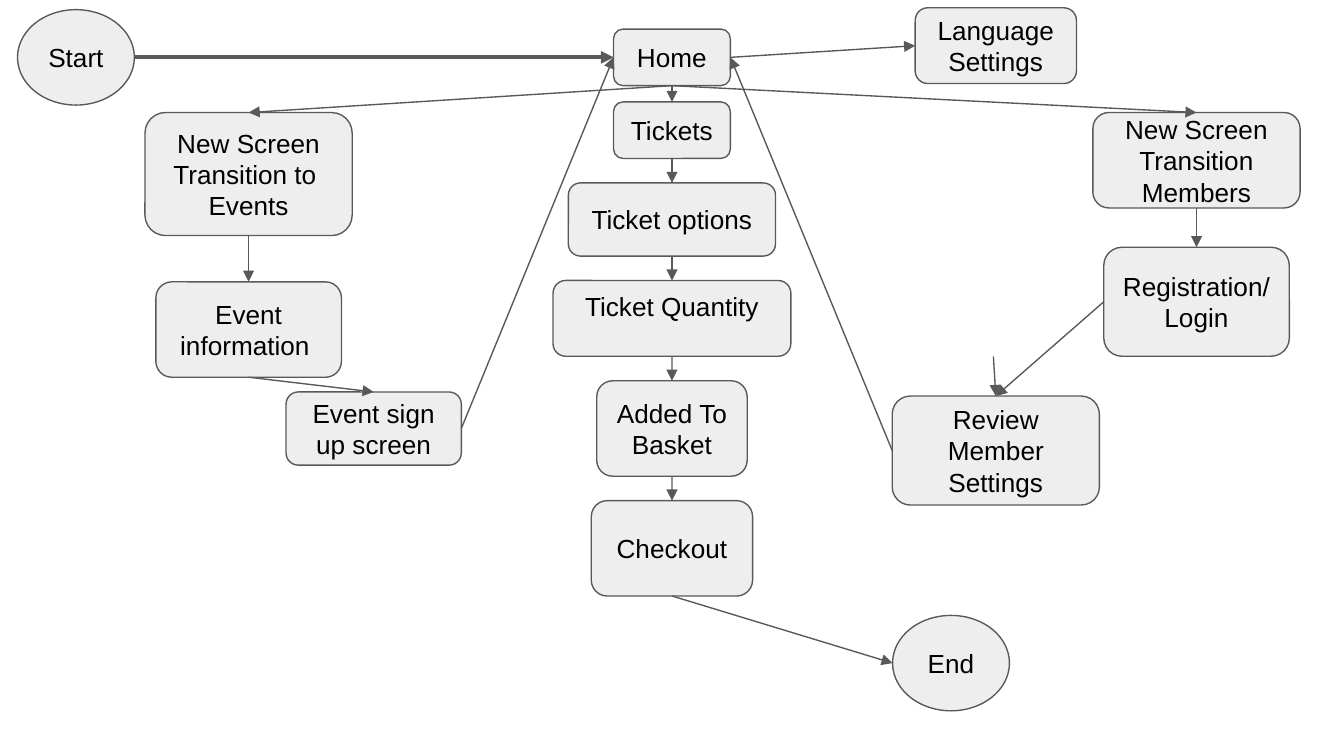
import pptx
import pptx.dml.color
import pptx.enum.shapes
import pptx.enum.text
import pptx.oxml
import pptx.oxml.ns
import pptx.util

Pt = pptx.util.Pt
RGBColor = pptx.dml.color.RGBColor
SHAPE = pptx.enum.shapes.MSO_SHAPE
ANCHOR = pptx.enum.text.MSO_ANCHOR

NODE_FILL = RGBColor(0xEE, 0xEE, 0xEE)
OUTLINE = RGBColor(0x59, 0x59, 0x59)
TEXT_COLOR = RGBColor(0, 0, 0)

TOP, LEFT, BOTTOM, RIGHT = range(4)
INSET = 7.2
TICKET_GAP = 13.1
MIDDLE_X, EVENTS_X, MEMBERS_X = 360, 133.2, 641

# key: text, centre x, top, width, height
SCREENS = {
    "home": ("Home", MIDDLE_X, 15.6, 62.6, 30.3),
    "language": ("Language Settings", 533.5, 4.2, 86.4, 40.6),
    "events": ("New Screen Transition to \nEvents", EVENTS_X, 60.3, 111, 65.9),
    "event info": ("Event information ", EVENTS_X, 151, 99.4, 51.1),
    "sign up": ("Event sign up screen", 200.2, 210, 93.9, 39.2),
    "members": ("New Screen Transition\nMembers", MEMBERS_X, 60.3, 111, 51.1),
    "registration": ("Registration/Login", MEMBERS_X, 132.5, 99.4, 58.4),
    "review": ("Review Member Settings", 533.5, 212.2, 111, 58.4),
}
TERMINALS = {
    "start": ("Start", 40.7, 5.2, 62.6, 51.1),
    "end": ("End", 509.5, 329.7, 62.6, 51.1),
}
# key, text, width, height, stacked from top to bottom
TICKET_STEPS = [
    ("tickets", "Tickets", 62.6, 30.3),
    ("options", "Ticket options", 111, 39.2),
    ("quantity", "Ticket Quantity", 127.4, 40.6),
    ("basket", "Added To Basket", 80.6, 51.1),
    ("checkout", "Checkout", 86.4, 51.1),
]
TICKETS_TOP = 54.6
FLOWS = [
    ("home", BOTTOM, "events", TOP),
    ("home", BOTTOM, "tickets", TOP),
    ("home", BOTTOM, "members", TOP),
    ("home", RIGHT, "language", LEFT),
    ("events", BOTTOM, "event info", TOP),
    ("event info", BOTTOM, "sign up", TOP),
    ("sign up", RIGHT, "home", LEFT),
    ("members", BOTTOM, "registration", TOP),
    ("registration", LEFT, "review", TOP),
    ("review", LEFT, "home", RIGHT),
    ("checkout", BOTTOM, "end", LEFT),
]


def write_text(frame, text, size=14, color=TEXT_COLOR, font="Arial",
               anchor=ANCHOR.MIDDLE, top_inset=INSET):
    frame.word_wrap = True
    frame.vertical_anchor = anchor
    frame.margin_left = frame.margin_right = frame.margin_bottom = Pt(INSET)
    frame.margin_top = Pt(top_inset)
    frame.text = text
    for paragraph in frame.paragraphs:
        paragraph.alignment = pptx.enum.text.PP_ALIGN.CENTER
        paragraph.font.size = Pt(size)
        paragraph.font.name = font
        paragraph.font.color.rgb = color


def add_node(slide, text, center_x, top, width, height,
             outline=SHAPE.ROUNDED_RECTANGLE, **text_format):
    node = slide.shapes.add_shape(outline, Pt(center_x - width / 2), Pt(top),
                                  Pt(width), Pt(height))
    node.shadow.inherit = False
    node.fill.solid()
    node.fill.fore_color.rgb = NODE_FILL
    node.line.color.rgb = OUTLINE
    node.line.width = Pt(0.75)
    write_text(node.text_frame, text, **text_format)
    return node


def side_point(node, side):
    """Return the middle of one side of a node."""
    across = {LEFT: 0, RIGHT: 2}.get(side, 1)
    down = {TOP: 0, BOTTOM: 2}.get(side, 1)
    return (node.left + node.width * across // 2,
            node.top + node.height * down // 2)


def add_arrow(slide, begin, end, weight=0.75):
    arrow = slide.shapes.add_connector(
        pptx.enum.shapes.MSO_CONNECTOR.STRAIGHT, *begin, *end)
    arrow.line.color.rgb = OUTLINE
    arrow.line.width = Pt(weight)
    qn = pptx.oxml.ns.qn
    head = arrow.line._get_or_add_ln().makeelement(
        qn("a:tailEnd"), {"type": "triangle", "w": "med", "len": "med"})
    arrow.line._get_or_add_ln().append(head)
    properties = arrow._element.spPr
    properties.append(properties.makeelement(qn("a:effectLst"), {}))
    return arrow


def link(slide, source, source_side, target, target_side, weight=0.75):
    """Draw an arrow between two nodes, glued to the rectangular ones."""
    arrow = add_arrow(slide, side_point(source, source_side),
                      side_point(target, target_side), weight)
    if source.auto_shape_type != SHAPE.OVAL:
        arrow.begin_connect(source, source_side)
    if target.auto_shape_type != SHAPE.OVAL:
        arrow.end_connect(target, target_side)


def add_ticket_steps(slide):
    steps = {}
    top = TICKETS_TOP
    for key, text, width, height in TICKET_STEPS:
        text_format = {}
        if key == "quantity":
            text_format = {"anchor": ANCHOR.TOP, "top_inset": 3.2}
        steps[key] = add_node(slide, text, MIDDLE_X, top, width, height,
                              **text_format)
        top += height + TICKET_GAP
    ordered = list(steps.values())
    for step, following in zip(ordered, ordered[1:]):
        link(slide, step, BOTTOM, following, TOP)
    return steps


def main():
    presentation = pptx.Presentation()
    presentation.slide_width = Pt(720)
    presentation.slide_height = Pt(405)
    slide = presentation.slides.add_slide(presentation.slide_layouts[6])

    nodes = {key: add_node(slide, *screen) for key, screen in SCREENS.items()}
    for key, terminal in TERMINALS.items():
        nodes[key] = add_node(slide, *terminal, outline=SHAPE.OVAL)
    nodes.update(add_ticket_steps(slide))

    link(slide, nodes["start"], RIGHT, nodes["home"], LEFT, weight=2.25)
    for source, source_side, target, target_side in FLOWS:
        link(slide, nodes[source], source_side, nodes[target], target_side)
    add_arrow(slide, (Pt(532.2), Pt(191)), side_point(nodes["review"], TOP))

    presentation.save("out.pptx")


if __name__ == "__main__":
    main()
